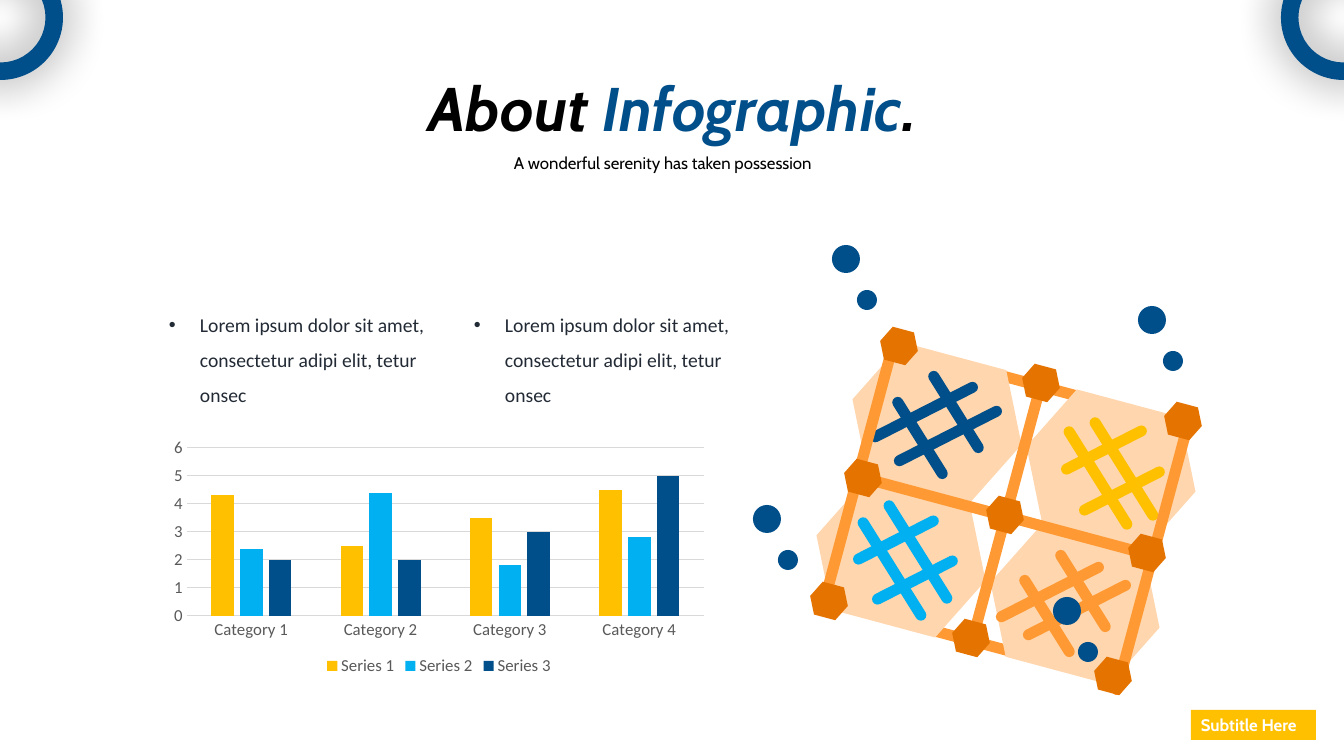
"""Build an infographic slide with a column chart and a crossed lattice."""
from dataclasses import dataclass

from lxml.etree import SubElement
from pptx import Presentation
from pptx.chart.data import CategoryChartData
from pptx.dml.color import RGBColor
from pptx.enum.chart import XL_CHART_TYPE, XL_LEGEND_POSITION, XL_TICK_MARK
from pptx.enum.shapes import MSO_SHAPE
from pptx.enum.text import MSO_ANCHOR, MSO_AUTO_SIZE, PP_ALIGN
from pptx.oxml.ns import qn
from pptx.util import Pt


@dataclass(frozen=True)
class Theme:
    """Colours, fonts and type sizes."""
    navy: str = "004F8A"
    cyan: str = "00B0F0"
    gold: str = "FFC000"
    orange: str = "FF9933"
    peach: str = "FFD6AD"
    rust: str = "E57300"
    black: str = "000000"
    white: str = "FFFFFF"
    ink: str = "222A35"
    axis: str = "595959"
    grid: str = "D9D9D9"
    head: str = "Cabin"
    body: str = "Calibri"
    title_pt: int = 44
    body_pt: int = 14
    small_pt: int = 12


T = Theme()
SCALE = 12192000 / 1344
TILT, RISE, FALL = 15, -27, 58
THICK, LONG, SHORT = 11, 120, 95

TITLE = [("About ", T.black), ("Infographic", T.navy), (".", T.black)]
SUBTITLE = "A wonderful serenity has taken possession"
BADGE = "Subtitle Here"
BULLET = "Lorem ipsum dolor sit amet, consectetur adipi elit, tetur onsec"
BULLET_LEFTS = [169, 474]

CATEGORIES = ["Category 1", "Category 2", "Category 3", "Category 4"]
SERIES = [
    ("Series 1", (4.3, 2.5, 3.5, 4.5), T.gold),
    ("Series 2", (2.4, 4.4, 1.8, 2.8), T.cyan),
    ("Series 3", (2, 2, 3, 5), T.navy),
]

NODE_COLUMNS = [(899, 346), (1041, 383), (1183, 421)]
NODE_ROWS = [(0, 0), (-36, 132), (-70, 255)]
CELL_COLUMNS = [(937, 422), (1111, 469)]
CELL_ROWS = [(0, 0), (-36, 136)]
OUTER_ROWS = [(1040, 386), (972, 641)]
MIDDLE_ROW = (1005, 516)
COLUMNS = [(859, 472), (1007, 511), (1154, 551)]
HASHES = [
    (T.cyan, FALL, [(892, 569), (918, 552)], [(896, 540), (915, 580)]),
    (T.orange, RISE, [(1077, 610), (1050, 592)], [(1083, 591), (1047, 616)]),
    (T.navy, RISE, [(948, 436), (924, 412)], [(956, 412), (920, 438)]),
    (T.gold, FALL, [(1098, 478), (1124, 469)], [(1104, 450), (1122, 491)]),
]
DOT_PAIRS = [(832, 245), (1138, 306), (753, 505), (1053, 597)]
RING_LEFTS = [-62, 1281]


def px(*lengths):
    """Turn px lengths into EMU."""
    return [round(v * SCALE) for v in lengths]


def rgb(color):
    """Turn a hex colour into an RGBColor."""
    return RGBColor.from_string(color)


def add_shape(s, kind, box, color, turn=0):
    """Add a flat filled shape."""
    sp = s.shapes.add_shape(kind, *px(*box))
    sp.shadow.inherit = False
    sp.fill.solid()
    sp.fill.fore_color.rgb = rgb(color)
    sp.line.fill.background()
    sp.rotation = turn
    return sp


def add_centred(s, kind, centre, size, color, turn):
    """Add a turned shape around its centre."""
    (x, y), (w, h) = centre, size
    return add_shape(s, kind, (x - w / 2, y - h / 2, w, h), color, turn)


def add_rod(s, centre, length, color, turn):
    """Add a bar with round ends."""
    sp = add_centred(s, MSO_SHAPE.ROUNDED_RECTANGLE, centre, (length, THICK), color, turn)
    sp.adjustments[0] = 0.5


def lattice(columns, rows):
    """List the points of a skewed grid."""
    return [(x + dx, y + dy) for dx, dy in rows for x, y in columns]


def style(font, name, size, color, bold=None, italic=None):
    """Set the look of a font."""
    font.name, font.size, font.bold, font.italic = name, Pt(size), bold, italic
    font.color.rgb = rgb(color)


def add_text(s, box):
    """Add a wrapping text box and return its frame and first paragraph."""
    tf = s.shapes.add_textbox(*px(*box)).text_frame
    tf.word_wrap = True
    tf.auto_size = MSO_AUTO_SIZE.SHAPE_TO_FIT_TEXT
    return tf, tf.paragraphs[0]


def add_lattice(s):
    """Draw the rods, cells, hashes, nodes and dots."""
    for centre in OUTER_ROWS:
        add_rod(s, centre, 306, T.orange, TILT)
    for centre in lattice(CELL_COLUMNS, CELL_ROWS):
        add_centred(s, MSO_SHAPE.HEXAGON, centre, (175, 136), T.peach, TILT)
    for color, turn, longs, shorts in HASHES:
        for centre in longs:
            add_rod(s, centre, LONG, color, turn)
        for centre in shorts:
            add_rod(s, centre, SHORT, color, RISE + FALL - turn)
    add_rod(s, MIDDLE_ROW, 306, T.orange, TILT)
    for centre in COLUMNS:
        add_rod(s, centre, 298, T.orange, TILT + 90)
    for centre in lattice(NODE_COLUMNS, NODE_ROWS):
        add_centred(s, MSO_SHAPE.HEXAGON, centre, (39, 34), T.rust, TILT)
    for x, y in DOT_PAIRS:
        add_shape(s, MSO_SHAPE.OVAL, (x, y, 28, 28), T.navy)
        add_shape(s, MSO_SHAPE.OVAL, (x + 25, y + 45, 20, 20), T.navy)


def add_columns(s):
    """Add the clustered column chart."""
    data = CategoryChartData()
    data.categories = CATEGORIES
    for name, values, _ in SERIES:
        data.add_series(name, values)
    box = px(163, 433, 552, 247)
    chart = s.shapes.add_chart(XL_CHART_TYPE.COLUMN_CLUSTERED, *box, data).chart
    style(chart.font, T.body, T.small_pt, T.axis)
    chart.has_title = False
    chart.has_legend = True
    chart.legend.position = XL_LEGEND_POSITION.BOTTOM
    chart.legend.include_in_layout = False
    plot = chart.plots[0]
    plot.gap_width, plot.overlap, plot.vary_by_categories = 219, -27, False
    for series, (_, _, color) in zip(plot.series, SERIES):
        series.format.fill.solid()
        series.format.fill.fore_color.rgb = rgb(color)
    cat, val = chart.category_axis, chart.value_axis
    for axis in (cat, val):
        axis.major_tick_mark = axis.minor_tick_mark = XL_TICK_MARK.NONE
    val.minimum_scale, val.maximum_scale, val.major_unit = 0, 6, 1
    val.format.line.fill.background()
    for line in (cat.format.line, val.major_gridlines.format.line):
        line.color.rgb = rgb(T.grid)
        line.width = Pt(0.75)


def add_words(s):
    """Add the bullets, title, subtitle and badge."""
    for left in BULLET_LEFTS:
        tf, p = add_text(s, (left, 301, 264, 103))
        tf.margin_left = tf.margin_top = tf.margin_right = tf.margin_bottom = 0
        p.text, p.line_spacing = BULLET, 1.5
        pPr = p._p.get_or_add_pPr()
        indent = px(31)[0]
        pPr.set("marL", str(indent))
        pPr.set("indent", str(-indent))
        SubElement(pPr, qn("a:buFont")).set("typeface", "Arial")
        SubElement(pPr, qn("a:buChar")).set("char", "•")
        style(p.runs[0].font, T.body, T.body_pt, T.ink)
    _, p = add_text(s, (239, 65, 867, 85))
    p.alignment = PP_ALIGN.CENTER
    for text, color in TITLE:
        r = p.add_run()
        r.text = text
        style(r.font, T.head, T.title_pt, color, True, True)
    _, p = add_text(s, (440, 138, 446, 37))
    p.text, p.alignment, p.line_spacing = SUBTITLE, PP_ALIGN.CENTER, 1.5
    style(p.runs[0].font, T.head, T.small_pt, T.black)
    tf = add_shape(s, MSO_SHAPE.RECTANGLE, (1191, 710, 125, 30), T.gold).text_frame
    tf.word_wrap, tf.vertical_anchor = False, MSO_ANCHOR.TOP
    p = tf.paragraphs[0]
    p.text, p.alignment = BADGE, PP_ALIGN.LEFT
    style(p.runs[0].font, T.head, T.small_pt, T.white, True)


def add_rings(s):
    """Add the softly shadowed corner rings."""
    for left in RING_LEFTS:
        sp = add_shape(s, MSO_SHAPE.DONUT, (left, -45, 125, 125), T.navy)
        sp.adjustments[0] = 0.14
        effects = sp._element.spPr.find(qn("a:effectLst"))
        shadow = SubElement(effects, qn("a:outerShdw"), blurRad=str(Pt(33)), algn="ctr", rotWithShape="0")
        tint = SubElement(shadow, qn("a:srgbClr"), val=T.black)
        SubElement(tint, qn("a:alpha"), val="49000")


def main():
    """Build and save the slide."""
    prs = Presentation()
    prs.slide_width, prs.slide_height = px(1344, 756)
    s = prs.slides.add_slide(prs.slide_layouts[6])
    for build in (add_lattice, add_columns, add_words, add_rings):
        build(s)
    prs.save("out.pptx")


if __name__ == "__main__":
    main()
